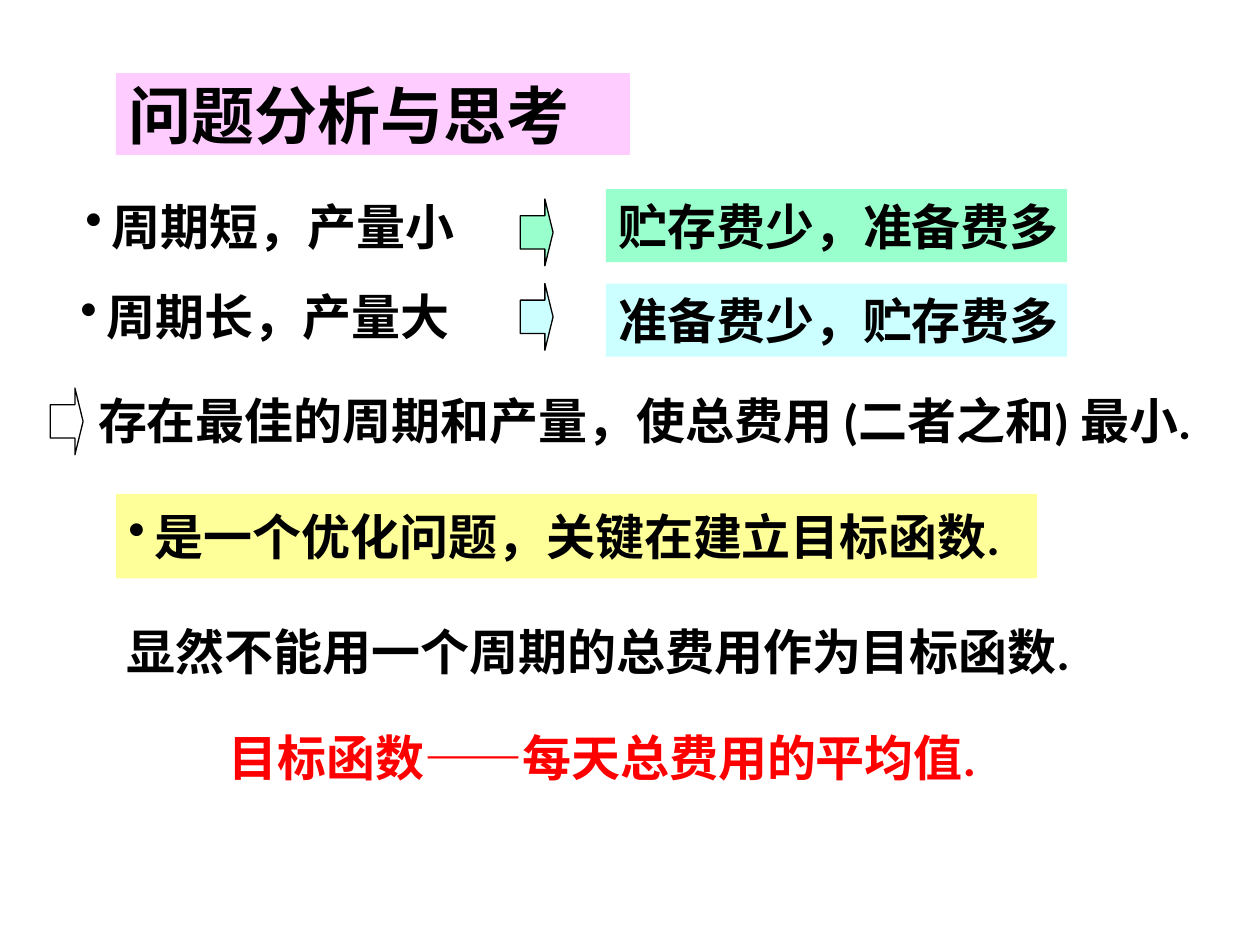
from lxml.etree import SubElement
from pptx import Presentation
from pptx.dml.color import RGBColor
from pptx.enum.shapes import MSO_SHAPE as Preset
from pptx.enum.text import MSO_ANCHOR as Anchor, MSO_AUTO_SIZE as AutoSize, PP_ALIGN as Align
from pptx.oxml.ns import qn
from pptx.util import Inches, Pt

FONT = "Calibri"
BLACK, RED = "000000", "FF0000"
PINK, GREEN, CYAN, YELLOW = "FFCCFF", "99FFCC", "CCFFFF", "FFFF99"
BULLET_INDENT = Inches(0.21)


def paint(color_holder, color):
    """Give a solid colour to a fill."""
    color_holder.solid()
    color_holder.fore_color.rgb = RGBColor.from_string(color)


def add_bullet(paragraph):
    properties = paragraph._p.get_or_add_pPr()
    properties.set("marL", str(BULLET_INDENT))
    properties.set("indent", str(-BULLET_INDENT))
    SubElement(properties, qn("a:buChar"), char="•")


def write_text(shape, text, size=28, color=BLACK, align=Align.LEFT, bullet=False):
    frame = shape.text_frame
    frame.text = text
    frame.word_wrap = False
    frame.auto_size = AutoSize.NONE
    frame.vertical_anchor = Anchor.MIDDLE
    paragraph = frame.paragraphs[0]
    paragraph.alignment = align
    font = paragraph.font
    font.name, font.size, font.bold = FONT, Pt(size), True
    paint(font.fill, color)
    if bullet:
        add_bullet(paragraph)


def add_title(slide, text, left, top, width, height):
    title = slide.shapes.title
    title.left, title.top = Inches(left), Inches(top)
    title.width, title.height = Inches(width), Inches(height)
    paint(title.fill, PINK)
    write_text(title, text, size=36)


def add_line_of_text(slide, text, left, top, width, height, **style):
    box = slide.shapes.add_textbox(*map(Inches, (left, top, width, height)))
    write_text(box, text, **style)


def add_panel(slide, text, left, top, width, height, fill, **style):
    """Add a filled rectangle without outline that holds one line of text."""
    panel = slide.shapes.add_shape(
        Preset.RECTANGLE, *map(Inches, (left, top, width, height)))
    panel.shadow.inherit = False
    paint(panel.fill, fill)
    panel.line.fill.background()
    write_text(panel, text, **style)


def add_arrow(slide, left, top, fill=None):
    arrow = slide.shapes.add_shape(
        Preset.RIGHT_ARROW, *map(Inches, (left, top, 0.26, 0.53)))
    arrow.shadow.inherit = False
    arrow.adjustments[0], arrow.adjustments[1] = 0.5, 0.25
    if fill:
        paint(arrow.fill, fill)
    else:
        arrow.fill.background()
    paint(arrow.line.fill, BLACK)
    arrow.line.width = Pt(0.75)


def main():
    presentation = Presentation()
    presentation.slide_width, presentation.slide_height = Inches(10), Inches(7.5)
    slide = presentation.slides.add_slide(presentation.slide_layouts.get_by_name("Title Only"))

    add_title(slide, "问题分析与思考", 0.92, 0.58, 4.08, 0.65)

    add_line_of_text(slide, "周期短，产量小", 0.58, 1.5, 3.24, 0.58, bullet=True)
    add_line_of_text(slide, "周期长，产量大", 0.54, 2.17, 3.07, 0.67, bullet=True)
    effects = [("贮存费少，准备费多", 1.5, 1.58, GREEN),
               ("准备费少，贮存费多", 2.25, 2.25, CYAN)]
    for text, panel_top, arrow_top, fill in effects:
        add_panel(slide, text, 4.81, panel_top, 3.66, 0.58, fill)
        add_arrow(slide, 4.13, arrow_top, fill)

    add_arrow(slide, 0.4, 3.08)
    add_line_of_text(slide, "存在最佳的周期和产量，使总费用 (二者之和) 最小.", 0.68, 3, 9.2, 0.67)

    add_panel(slide, "是一个优化问题，关键在建立目标函数.", 0.92, 3.92, 7.31, 0.67,
              YELLOW, bullet=True)
    add_line_of_text(slide, "显然不能用一个周期的总费用作为目标函数.", 0.91, 4.83, 8.26, 0.67)
    add_line_of_text(slide, "目标函数——每天总费用的平均值.", 0.92, 5.67, 7.72, 0.67,
                     color=RED, align=Align.CENTER)

    presentation.save("out.pptx")


if __name__ == "__main__":
    main()
